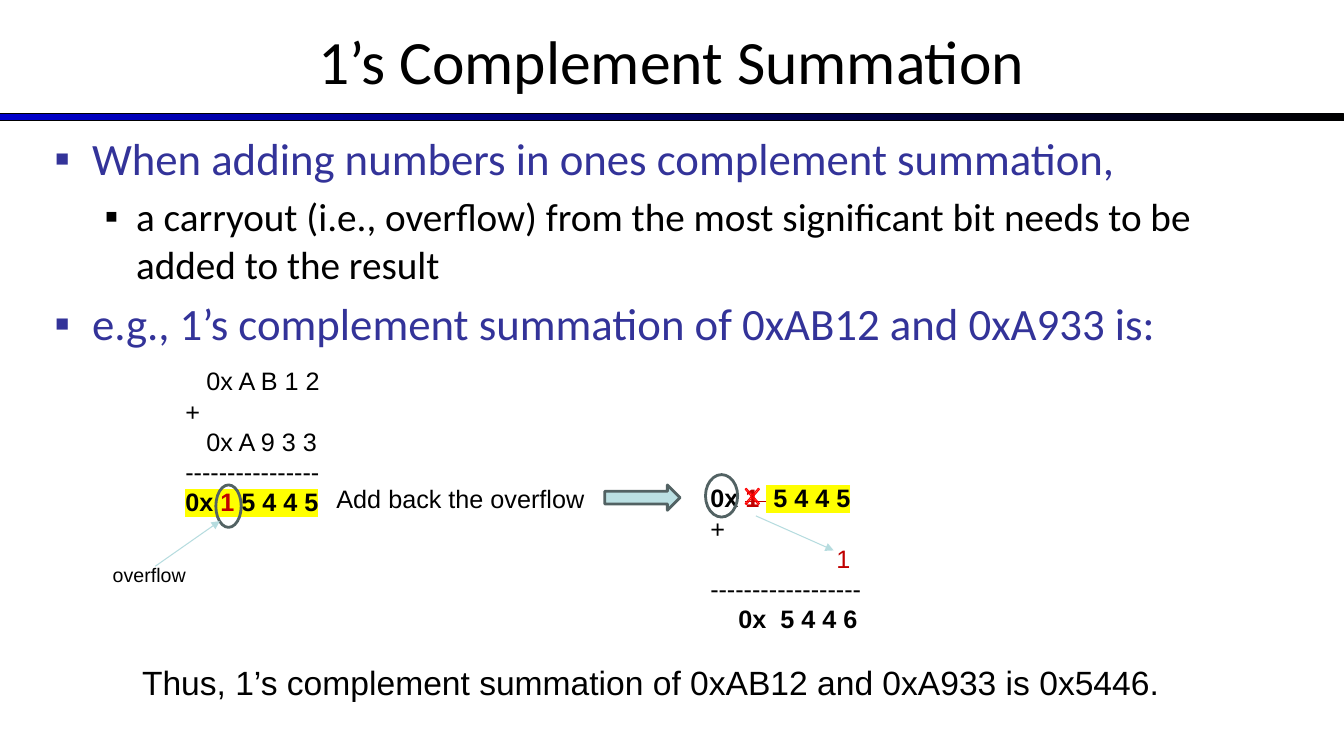
from lxml import etree
from pptx import Presentation
from pptx import util as u
from pptx.dml.color import RGBColor
from pptx.enum import shapes, text
from pptx.oxml.ns import qn
from pptx.util import Cm

BLACK = RGBColor(0x00, 0x00, 0x00)
BLUE = RGBColor(0x00, 0x00, 0xCC)
INDIGO = RGBColor(0x33, 0x33, 0x99)
DARK_RED = RGBColor(0xC0, 0x00, 0x00)
RED = RGBColor(0xFF, 0x00, 0x00)
SLATE = RGBColor(0x52, 0x62, 0x63)
PALE_TEAL = RGBColor(0xBB, 0xE0, 0xE3)
LINE_TEAL = RGBColor(0xB6, 0xDC, 0xDF)
YELLOW = RGBColor(0xFF, 0xFF, 0x00)

prs = Presentation()
prs.slide_width, prs.slide_height = Cm(33.87), Cm(19.05)
s = prs.slides.add_slide(prs.slide_layouts[6])


def add_text(left, top, width, height, lines, size, font="Arial", wrap=True):
    """Add a text box; each line is (indent in cm, runs), each run (text, colour, flags).

    Flags: b for bold, s for struck through, h for highlighted.
    """
    tf = s.shapes.add_textbox(Cm(left), Cm(top), Cm(width), Cm(height)).text_frame
    tf.word_wrap = wrap
    for i, (indent, runs) in enumerate(lines):
        p = tf.add_paragraph() if i else tf.paragraphs[0]
        if indent:
            p._p.get_or_add_pPr().set("marL", str(Cm(indent)))
        for words, color, flags in runs:
            r = p.add_run()
            r.text = words
            r.font.size, r.font.bold = u.Pt(size), "b" in flags
            r.font.color.rgb = color
            rPr = r._r.get_or_add_rPr()
            if "s" in flags:
                rPr.set("strike", "sngStrike")
            if "h" in flags:
                highlight = etree.SubElement(rPr, qn("a:highlight"))
                etree.SubElement(highlight, qn("a:srgbClr"), val=str(YELLOW))
            r.font.name = font
    return tf


def add_shape(kind, left, top, width, height, line, line_width, fill=None):
    sp = s.shapes.add_shape(kind, Cm(left), Cm(top), Cm(width), Cm(height))
    sp.shadow.inherit = False
    sp.line.color.rgb, sp.line.width = line, u.Pt(line_width)
    if fill is None:
        sp.fill.background()
    else:
        sp.fill.solid()
        sp.fill.fore_color.rgb = fill
    return sp


# Title and rule
shape = shapes.MSO_SHAPE
bar = add_shape(shape.RECTANGLE, 0, 2.87, 33.87, 0.18, BLACK, 0.75)
bar.fill.gradient()
bar.fill.gradient_angle = 0
for stop, color, position in zip(bar.fill.gradient_stops, (BLUE, BLACK), (0, 1)):
    stop.color.rgb, stop.position = color, position

title = add_text(0, -0.08, 33.87, 3.18,
                 [(0, [("1’s Complement Summation", BLACK, "")])], 44, "Calibri")
title.vertical_anchor = text.MSO_ANCHOR.MIDDLE
title.paragraphs[0].alignment = text.PP_ALIGN.CENTER

# Bullets: left margin, hanging indent, size, colour, words
bullets = [
    (0.95, 0.95, 32, INDIGO, "When adding numbers in ones complement summation,"),
    (2.06, 0.79, 28, BLACK, "a carryout (i.e., overflow) from the most significant bit "
                            "needs to be added to the result"),
    (0.95, 0.95, 32, INDIGO, "e.g., 1’s complement summation of 0xAB12 and 0xA933 is:"),
]
body = add_text(1.12, 3.18, 30.84, 13.97,
                [(margin, [(words, color, "")]) for margin, _, _, color, words in bullets],
                32, "Calibri")
for p, (_, hanging, size, color, _) in zip(body.paragraphs, bullets):
    p.space_before = u.Pt(size * 0.2)
    p.runs[0].font.size = u.Pt(size)
    pPr = p._p.get_or_add_pPr()
    pPr.set("indent", str(-Cm(hanging)))
    bullet_color = etree.SubElement(pPr, qn("a:buClr"))
    etree.SubElement(bullet_color, qn("a:srgbClr"), val=str(color))
    etree.SubElement(pPr, qn("a:buFont"), typeface="Arial")
    etree.SubElement(pPr, qn("a:buChar"), char="▪")

# First sum, with the carry in red
add_text(4.42, 9.09, 4.47, 4.11, [
    (0.53, [("0x A B 1 2", BLACK, "")]),
    (0, [("+", BLACK, "")]),
    (0.53, [("0x A 9 3 3", BLACK, "")]),
    (0, [("-" * 16, BLACK, "")]),
    (0, [("0x", BLACK, "bh"), (" 1 ", DARK_RED, "bh"), ("5 4 4 5", BLACK, "bh")]),
], 18)

# Second sum, with the carry added back
add_shape(shape.RIGHT_ARROW, 15.24, 12.22, 1.9, 0.64, SLATE, 2, PALE_TEAL)
add_text(8.23, 12.06, 7.16, 1.8, [(0, [("Add back the overflow", BLACK, "")])], 18)
add_text(17.65, 12.04, 4.47, 4.11, [
    (0, [("0x ", BLACK, "b"), ("1 ", DARK_RED, "bs"), (" ", DARK_RED, "bh"),
         ("5 4 4 5", BLACK, "bh")]),
    (0, [("+", BLACK, "")]),
    (3.18, [("1", DARK_RED, "")]),
    (0, [("-" * 18, BLACK, "")]),
    (0.71, [("0x  5 4 4 6", BLACK, "b")]),
], 18)

add_text(3.33, 16.56, 26.16, 2.06, [
    (0, [("Thus, 1’s complement summation of 0xAB12 and 0xA933 is 0x5446.", BLACK, "")]),
], 24, wrap=False)
add_text(2.59, 14.07, 2.49, 0.86, [(0, [("overflow", BLACK, "")])], 14)

# Marks around the carry
add_shape(shape.OVAL, 17.78, 11.96, 0.81, 1.07, SLATE, 2)
add_shape(shape.OVAL, 5.44, 12.22, 0.64, 1.07, SLATE, 2)
cross = add_shape(shape.MATH_MULTIPLY, 18.64, 12.14, 0.64, 0.74, RED, 0.75)
cross.adjustments[0] = 0.06

for ends in [(19.05, 13, 21.01, 13.87), (3.91, 14.27, 5.54, 13.13)]:
    arrow = s.shapes.add_connector(shapes.MSO_CONNECTOR.STRAIGHT, *map(Cm, ends))
    arrow.line.color.rgb, arrow.line.width = LINE_TEAL, u.Pt(0.75)
    etree.SubElement(arrow.line._get_or_add_ln(), qn("a:tailEnd"), type="triangle")
    etree.SubElement(arrow._element.spPr, qn("a:effectLst"))

prs.save("out.pptx")
